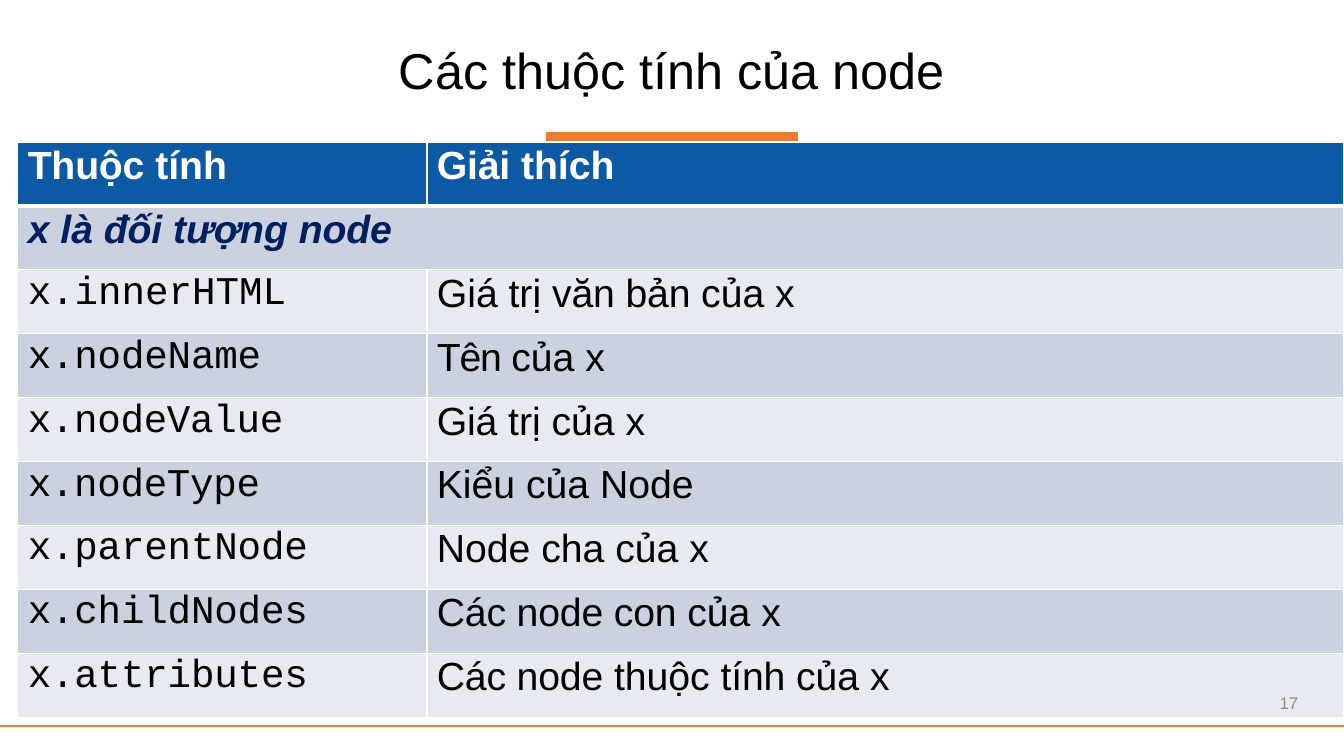
from lxml import etree
from pptx import Presentation
from pptx.dml.color import RGBColor
from pptx.enum.shapes import MSO_CONNECTOR, MSO_SHAPE
from pptx.enum.text import MSO_ANCHOR, PP_ALIGN
from pptx.oxml.ns import qn
from pptx.util import Cm, Pt

LINE, RECT = MSO_CONNECTOR.STRAIGHT, MSO_SHAPE.RECTANGLE
MIDDLE = MSO_ANCHOR.MIDDLE
CENTER, RIGHT = PP_ALIGN.CENTER, PP_ALIGN.RIGHT

# Content: each cell is a list of (text, letter spacing in points)
TITLE = "Các thuộc tính của node"
PAGE = "17"
HEADER = [[("Thuộc ", -0.1), ("tính", 0)], [("Giải ", -0.1), ("thích", 0)]]
SUBJECT = [("x là ", 0), ("đối ", -0.1), ("tượng ", 0), ("node", -0.1)]
PROPERTIES = [
    [[("x.innerHTML", 0)], [("Giá trị ", 0), ("văn bản ", -0.1), ("của x", 0)]],
    [[("x.nodeName", -0.1)], [("Tên ", -0.9), ("của x", 0)]],
    [[("x.nodeValue", -0.2)], [("Giá ", -0.1), ("trị của x", 0)]],
    [[("x.nodeType", -0.2)], [("Kiểu của Node", 0)]],
    [[("x.parentNode", -0.1)], [("Node cha của x", 0)]],
    [[("x.childNodes", -0.1)], [("Các node con ", -0.1), ("của x", 0)]],
    [[("x.attributes", -0.1)],
     [("Các node ", -0.1), ("thuộc ", 0), ("tính ", -0.1), ("của x", 0)]],
]

# Style
SANS, MONO = "Arial", "Courier New"
BLACK = RGBColor(0x00, 0x00, 0x00)
WHITE = RGBColor(0xFF, 0xFF, 0xFF)
GRAY = RGBColor(0x8C, 0x8C, 0x8C)
ORANGE = RGBColor(0xED, 0x7D, 0x31)
BLUE = RGBColor(0x0C, 0x5A, 0xA6)
NAVY = RGBColor(0x00, 0x1F, 0x5F)
BANDS = [RGBColor(0xCC, 0xD1, 0xE0), RGBColor(0xE7, 0xEA, 0xF0)]

WIDTH, HEIGHT = Cm(33.87), Cm(19.05)
COLUMNS = [Cm(10.31), Cm(23.11)]
ROW_H = Cm(1.61)

prs = Presentation()
prs.slide_width, prs.slide_height = WIDTH, HEIGHT
slide = prs.slides.add_slide(prs.slide_layouts[6])


def add_run(p, text, size, color, font=SANS, bold=False, italic=False):
    r = p.add_run()
    r.text = text
    r.font.name, r.font.size = font, Pt(size)
    r.font.bold, r.font.italic = bold, italic
    r.font.color.rgb = color
    return r


def add_label(x, y, w, h, text, size, color, align):
    tf = slide.shapes.add_textbox(x, y, w, h).text_frame
    tf.word_wrap = True
    tf.vertical_anchor = MIDDLE
    p = tf.paragraphs[0]
    p.alignment = align
    add_run(p, text, size, color)


def set_borders(cell, top, bottom):
    tcPr = cell._tc.get_or_add_tcPr()
    for side, width in (("L", 1), ("R", 1), ("T", top), ("B", bottom)):
        ln = etree.SubElement(tcPr, qn(f"a:ln{side}"), w=str(Pt(width)))
        fill = etree.SubElement(ln, qn("a:solidFill"))
        etree.SubElement(fill, qn("a:srgbClr"), val=str(WHITE))


def fill_cell(cell, runs, **style):
    cell.margin_left, cell.margin_top = Cm(0.25), Cm(0.05)
    cell.margin_right = cell.margin_bottom = 0
    p = cell.text_frame.paragraphs[0]
    p.space_before = Pt(1.6)
    for text, spacing in runs:
        r = add_run(p, text, 28, **style)
        if spacing:
            r.font._element.set("spc", str(round(spacing * 100)))


# Accent bar and footer line
sp = slide.shapes.add_shape(RECT, (WIDTH - Cm(6.35)) // 2, Cm(3.33), Cm(6.35), Cm(0.25))
sp.shadow.inherit = False
sp.fill.solid()
sp.fill.fore_color.rgb = ORANGE
sp.line.fill.background()

footer = slide.shapes.add_connector(LINE, 0, Cm(18.29), WIDTH, Cm(18.29))
footer.line.color.rgb = ORANGE
footer.line.width = Pt(1.5)
etree.SubElement(footer._element.spPr, qn("a:effectLst"))

# Title
add_label(0, Cm(-0.1), WIDTH, Cm(3.68), TITLE, 36, BLACK, CENTER)

# Property table
rows = [HEADER, [SUBJECT, []]] + PROPERTIES
table = slide.shapes.add_table(len(rows), len(COLUMNS), Cm(0.45), Cm(3.58),
                               sum(COLUMNS), ROW_H * len(rows)).table
for column, width in zip(table.columns, COLUMNS):
    column.width = width
for i, row in enumerate(rows):
    table.rows[i].height = ROW_H
    for j, runs in enumerate(row):
        cell = table.cell(i, j)
        set_borders(cell, top=3 if i == 1 else 1, bottom=3 if i == 0 else 1)
        cell.fill.solid()
        cell.fill.fore_color.rgb = BLUE if i == 0 else BANDS[(i - 1) % 2]
        if i == 0:
            style = dict(color=WHITE, bold=True)
        elif i == 1:
            style = dict(color=NAVY, bold=True, italic=True)
        else:
            style = dict(color=BLACK, font=MONO if j == 0 else SANS)
        fill_cell(cell, runs, **style)
table.cell(1, 0).merge(table.cell(1, 1))

# Page number
add_label(Cm(25.35), Cm(17.2), Cm(7.62), Cm(1.02), PAGE, 12, GRAY, RIGHT)

prs.save("out.pptx")
